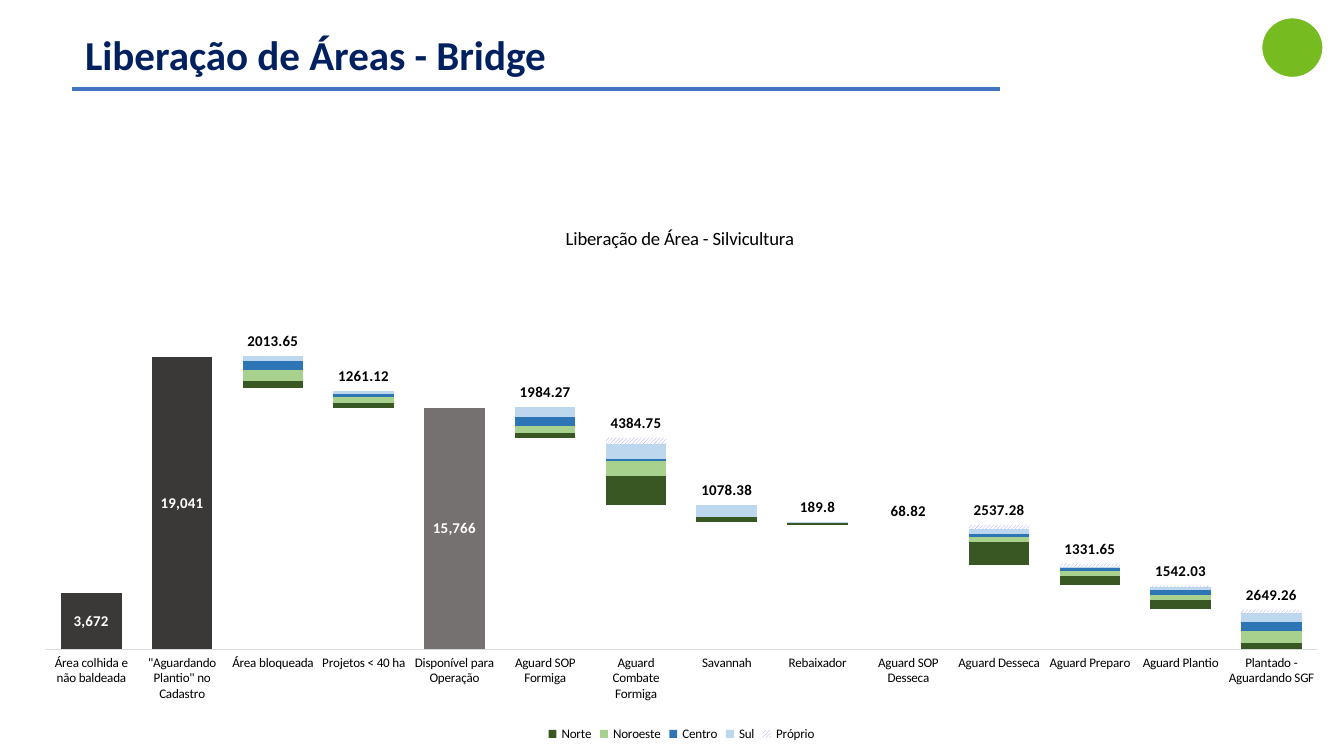
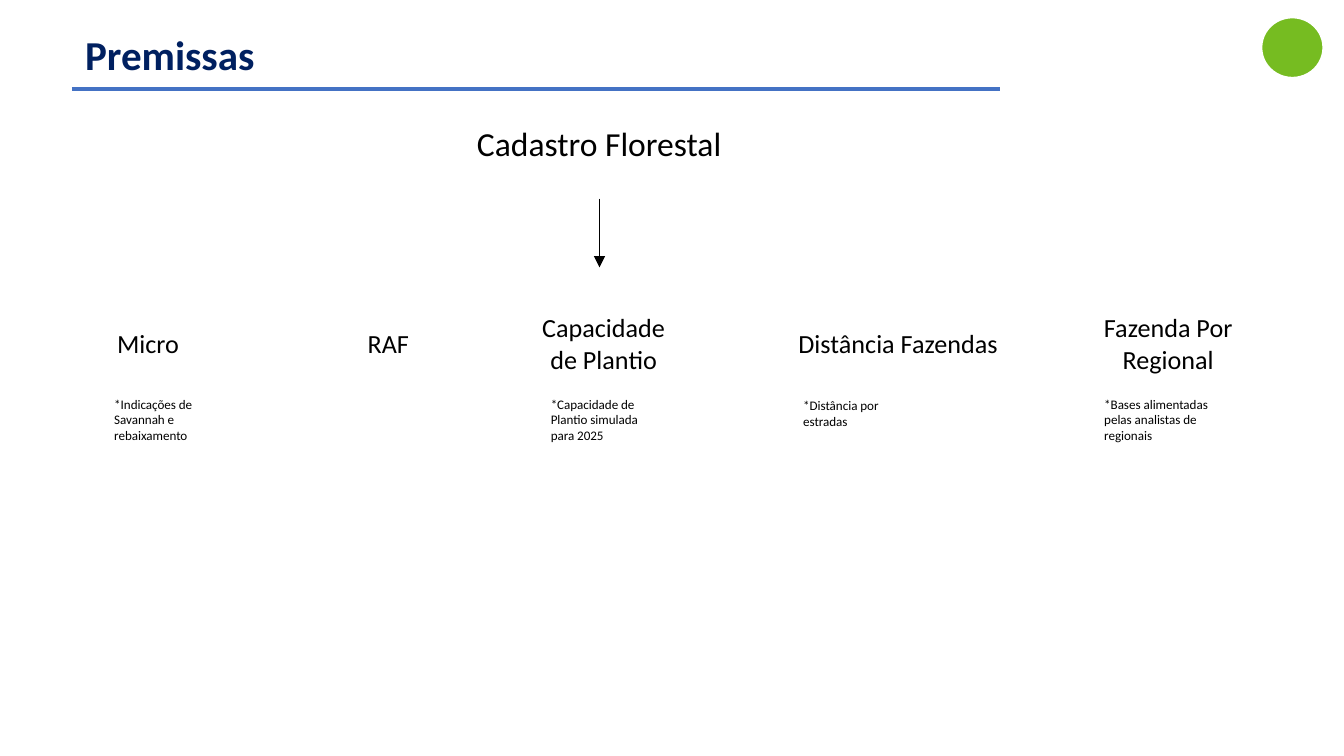
from dataclasses import dataclass
from typing import NamedTuple

from lxml import etree
from pptx import Presentation
from pptx.chart.data import CategoryChartData
from pptx.dml.color import RGBColor
from pptx.enum.chart import XL_CHART_TYPE, XL_LABEL_POSITION, XL_LEGEND_POSITION, XL_TICK_MARK
from pptx.enum.dml import MSO_PATTERN
from pptx.enum.shapes import MSO_CONNECTOR, MSO_SHAPE
from pptx.enum.text import MSO_AUTO_SIZE, PP_ALIGN
from pptx.oxml.ns import qn
from pptx.util import Cm, Pt

STACKED = XL_CHART_TYPE.COLUMN_STACKED
LABEL_CENTER = XL_LABEL_POSITION.CENTER
LABEL_BASE = XL_LABEL_POSITION.INSIDE_BASE
LEGEND_BOTTOM = XL_LEGEND_POSITION.BOTTOM
NO_TICK = XL_TICK_MARK.NONE
HATCH = MSO_PATTERN.DARK_UPWARD_DIAGONAL
STRAIGHT = MSO_CONNECTOR.STRAIGHT
OVAL = MSO_SHAPE.OVAL
FIT_SHAPE = MSO_AUTO_SIZE.SHAPE_TO_FIT_TEXT
LEFT, CENTER = PP_ALIGN.LEFT, PP_ALIGN.CENTER


@dataclass(frozen=True)
class Theme:
    font: str = "Calibri"
    navy: str = "002060"
    rule: str = "4472C4"
    badge: str = "76BC21"
    black: str = "000000"
    white: str = "FFFFFF"
    axis: str = "D9D9D9"
    stock: str = "3B3838"
    available: str = "767171"
    hatch: str = "9999FF"
    title_size: float = 22
    root_size: float = 18
    topic_size: float = 14
    chart_title_size: float = 10
    label_size: float = 8
    small_size: float = 7


class Box(NamedTuple):
    """Left, top, width and height in centimetres."""
    left: float
    top: float
    width: float
    height: float

    def inner(self, left, top, width, height):
        return Box(self.left + left, self.top + top, width, height)

    def lengths(self):
        return [Cm(value) for value in self]


THEME = Theme()
HEADER = Box(1.36, 0.33, 23.65, 1.4)
BRIDGE = Box(0.37, 3.9, 25.02, 10.21)
PREMISES = Box(1.15, 2.2, 22.58, 6.3)

STEPS = [
    "Área colhida e não baldeada", '"Aguardando Plantio" no Cadastro', "Área bloqueada",
    "Projetos < 40 ha", "Disponível para Operação", "Aguard SOP Formiga",
    "Aguard Combate Formiga", "Savannah", "Rebaixador", "Aguard SOP Desseca",
    "Aguard Desseca", "Aguard Preparo", "Aguard Plantio", "Plantado - Aguardando SGF",
]
HARVESTED, REGISTERED = 3672, 19041
AVAILABLE_STEP = 4
TOTALS = [None, None, 2013.65, 1261.12, 0, 1984.27, 4384.75, 1078.38, 189.8, 68.82,
          2537.28, 1331.65, 1542.03, 2649.26]
REGIONS = [
    ("Norte", "385723",
     [None, None, 500, 300, None, 300, 1900, 300, 100, 0, 1500, 600, 600, 400]),
    ("Noroeste", "A9D18E",
     [None, None, 700, 400, None, 500, 1000, 0, 0, 0, 300, 300, 300, 800]),
    ("Centro", "2E75B6",
     [None, None, 600, 200, None, 600, 100, 0, 0, 0, 200, 200, 300, 600]),
    ("Sul", "BDD7EE",
     [None, None, 300, 200, None, 600, 1000, 800, 100, 0, 300, 100, 200, 600]),
    ("Próprio", None,
     [None, None, 0, 0, None, 0, 400, 0, 0, 0, 300, 200, 100, 200]),
]

# topic, left, width, lines, note, note left, note lines
TOPICS = [
    ("Micro", 0, 3.3, 1, "*Indicações de Savannah e rebaixamento", 0.76, 3),
    ("RAF", 4.54, 3.3, 1, None, 0, 0),
    ("Capacidade de Plantio", 8.61, 3.3, 2, "*Capacidade de Plantio simulada para 2025", 9.01, 3),
    ("Distância Fazendas", 13.6, 4.45, 1, "*Distância por estradas", 13.78, 2),
    ("Fazenda Por Regional", 19.28, 3.3, 2,
     "*Bases alimentadas pelas analistas de regionais", 19.47, 3),
]


def rgb(color):
    return RGBColor.from_string(color)


def paint(fill, color):
    fill.solid()
    fill.fore_color.rgb = rgb(color)


def style_font(font, size, color=THEME.black, bold=False):
    font.name, font.size, font.bold = THEME.font, Pt(size), bold
    font.color.rgb = rgb(color)


def add_child(parent, tag, index=None, **attributes):
    child = etree.Element(qn(tag), attributes)
    parent.insert(len(parent) if index is None else index, child)
    return child


def add_text(page, box, text, size, color=THEME.black, bold=False, align=LEFT,
             spacing=None, grow=True):
    frame = page.shapes.add_textbox(*box.lengths()).text_frame
    frame.word_wrap = True
    if grow:
        frame.auto_size = FIT_SHAPE
    para = frame.paragraphs[0]
    para.alignment = align
    para.line_spacing = spacing
    span = para.add_run()
    span.text = text
    style_font(span.font, size, color, bold)


def add_line(page, box, color, weight, arrow=False):
    """Draw a line from the top left to the bottom right of the box."""
    left, top, width, height = box.lengths()
    line = page.shapes.add_connector(STRAIGHT, left, top, left + width, top + height)
    line.line.color.rgb = rgb(color)
    line.line.width = Pt(weight)
    properties = line._element.spPr
    if arrow:
        add_child(properties.find(qn("a:ln")), "a:tailEnd", type="triangle")
    add_child(properties, "a:effectLst")


def add_header(page, box, title):
    add_line(page, box.inner(0, 1.35, 17.54, 0), THEME.rule, 2.25)
    add_text(page, box.inner(0, 0.2, 21.8, 1.4), title, THEME.title_size, THEME.navy,
             bold=True, spacing=0.9, grow=False)
    badge = page.shapes.add_shape(OVAL, *box.inner(box.width - 1.17, 0, 1.17, 1.14).lengths())
    badge.shadow.inherit = False
    paint(badge.fill, THEME.badge)
    badge.line.color.rgb = rgb(THEME.white)
    badge.line.width = Pt(1)


def bridge_bases():
    """Return the height at which each step starts, falling by each total."""
    bases, level = [HARVESTED, REGISTERED], REGISTERED
    for total in TOTALS[2:]:
        level -= total
        bases.append(round(level))
    return bases


def label_series(series, color, position, number_format, hidden):
    labels = series.data_labels
    labels.show_value = True
    labels.number_format = number_format
    labels.number_format_is_linked = False
    labels.position = position
    style_font(labels.font, THEME.label_size, color, bold=True)
    for order, step in enumerate(hidden):
        label = add_child(labels._element, "c:dLbl", order)
        add_child(label, "c:idx", val=str(step))
        add_child(label, "c:delete", val="1")


def place_part(layout, **fractions):
    """Fix a chart part by fractions of the chart area."""
    for child in list(layout):
        layout.remove(child)
    manual = add_child(layout, "c:manualLayout")
    if "w" in fractions:
        add_child(manual, "c:layoutTarget", val="inner")
    for mode in ("xMode", "yMode"):
        add_child(manual, f"c:{mode}", val="edge")
    for name, fraction in fractions.items():
        add_child(manual, f"c:{name}", val=str(fraction))


def get_layout(parent, index):
    layout = parent.find(qn("c:layout"))
    return add_child(parent, "c:layout", index) if layout is None else layout


def style_chart_frame(chart):
    style_font(chart.font, THEME.chart_title_size)
    chart.has_title = True
    para = chart.chart_title.text_frame.paragraphs[0]
    span = para.add_run()
    span.text = "Liberação de Área - Silvicultura"
    style_font(span.font, THEME.chart_title_size)
    place_part(get_layout(chart.chart_title._element, 1), x=0.41, y=0.03)
    place_part(get_layout(chart.plots[0]._element.getparent(), 0), x=0.02, y=0.11, w=0.96, h=0.71)

    chart.has_legend = True
    legend = chart.legend
    legend.position = LEGEND_BOTTOM
    legend.include_in_layout = False
    style_font(legend.font, THEME.small_size)
    for order, series_index in enumerate((0, len(REGIONS) + 1), start=1):
        entry = add_child(legend._element, "c:legendEntry", order)
        add_child(entry, "c:idx", val=str(series_index))
        add_child(entry, "c:delete", val="1")

    steps_axis, area_axis = chart.category_axis, chart.value_axis
    steps_axis.major_tick_mark = steps_axis.minor_tick_mark = NO_TICK
    style_font(steps_axis.tick_labels.font, THEME.small_size)
    steps_axis.format.line.color.rgb = rgb(THEME.axis)
    steps_axis.format.line.width = Pt(0.75)
    area_axis.minimum_scale, area_axis.maximum_scale = 0, 25000
    area_axis.has_major_gridlines = False
    area_axis.visible = False


def add_bridge(page, box):
    data = CategoryChartData()
    data.categories = STEPS
    data.add_series("Series 1", bridge_bases())
    for name, _, areas in REGIONS:
        data.add_series(name, areas)
    data.add_series("Series 7", TOTALS)
    chart = page.shapes.add_chart(STACKED, *box.lengths(), data).chart
    style_chart_frame(chart)

    plot = chart.plots[0]
    plot.gap_width, plot.overlap = 50, 100
    plot.vary_by_categories = False
    base, *regions, totals = plot.series
    for series in (base, totals):
        series.format.fill.background()
    bars = {0: THEME.stock, 1: THEME.stock, AVAILABLE_STEP: THEME.available}
    for step, color in bars.items():
        paint(base.points[step].format.fill, color)
    for series, (_, color, _) in zip(regions, REGIONS):
        fill = series.format.fill
        if color:
            paint(fill, color)
        else:
            fill.patterned()
            fill.pattern = HATCH
            fill.fore_color.rgb = rgb(THEME.hatch)
            fill.back_color.rgb = rgb(THEME.white)
    floating = [step for step in range(len(STEPS)) if step not in bars]
    label_series(base, THEME.white, LABEL_CENTER, "#,##0", floating)
    label_series(totals, THEME.black, LABEL_BASE, "General", [AVAILABLE_STEP])


def add_premises(page, box):
    add_text(page, box.inner(6.57, 0, 7.21, 1.02), "Cadastro Florestal",
             THEME.root_size, align=CENTER)
    add_line(page, box.inner(10.18, 1.55, 0, 1.3), THEME.black, 0.5, arrow=True)
    topic_middle, note_top = 4.29, 5.16
    for topic, left, width, lines, note, note_left, note_lines in TOPICS:
        height = 0.26 + 0.6 * lines
        add_text(page, box.inner(left, topic_middle - height / 2, width, height), topic,
                 THEME.topic_size, align=CENTER)
        if note:
            top = note_top if note_lines == 3 else note_top + 0.03
            add_text(page, box.inner(note_left, top, 2.54, 0.27 + 0.29 * note_lines),
                     note, THEME.small_size)


def main():
    deck = Presentation()
    deck.slide_width, deck.slide_height = Cm(25.4), Cm(14.28)
    contents = [
        ("Liberação de Áreas - Bridge", add_bridge, BRIDGE),
        ("Premissas", add_premises, PREMISES),
    ]
    for title, add_content, box in contents:
        page = deck.slides.add_slide(deck.slide_layouts[6])
        add_header(page, HEADER, title)
        add_content(page, box)
    deck.save("out.pptx")


if __name__ == "__main__":
    main()
